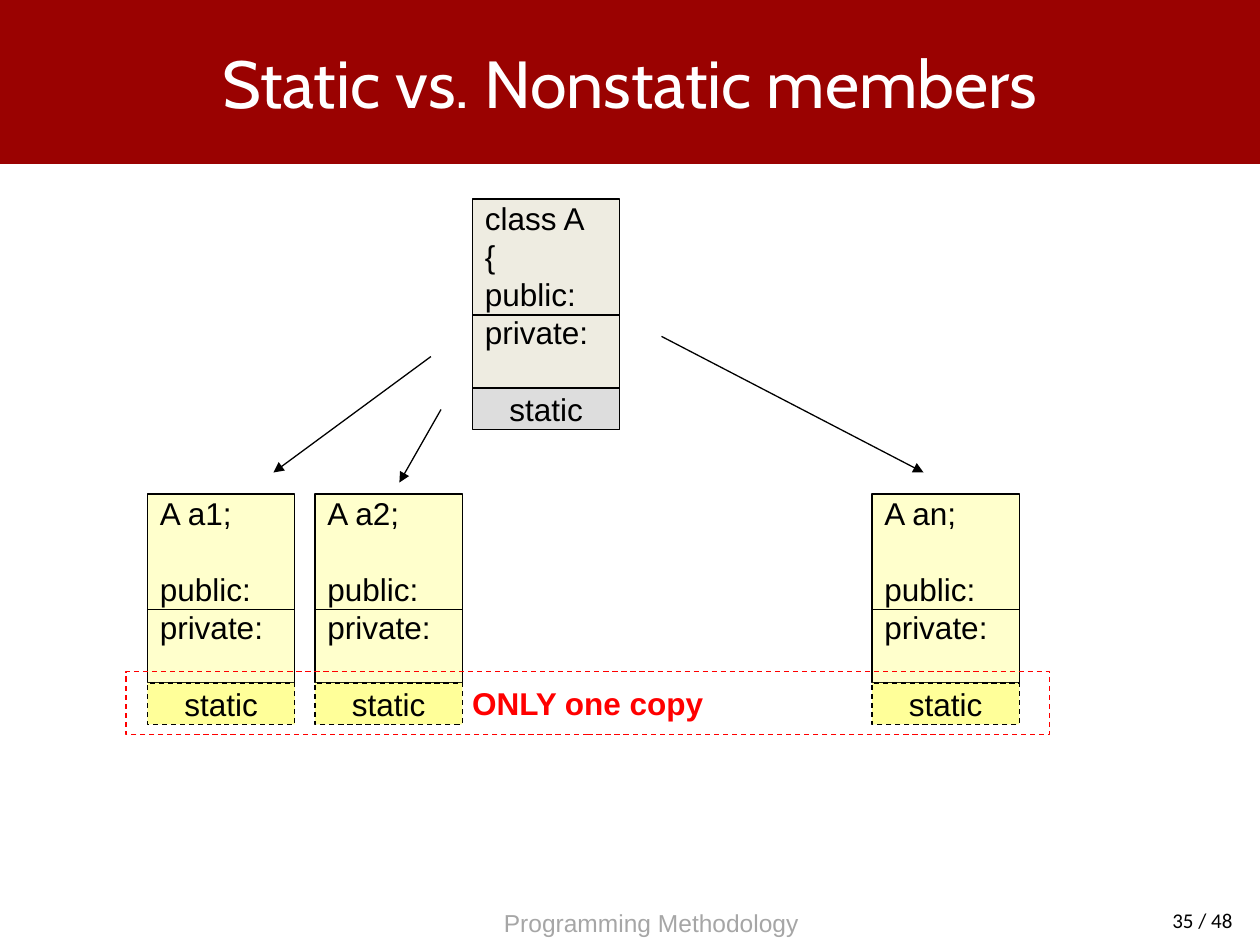
from lxml.etree import SubElement
from pptx import Presentation
from pptx.dml.color import RGBColor
from pptx.enum.dml import MSO_LINE
from pptx.enum.shapes import MSO_CONNECTOR, MSO_SHAPE
from pptx.enum.text import MSO_ANCHOR, PP_ALIGN
from pptx.oxml.ns import qn
from pptx.util import Inches, Pt

BOX_WIDTH, MEMBERS_HEIGHT, STATIC_HEIGHT = 1.17, 1.5, 0.33
DIVIDER_OFFSET = 0.92
LINE_PITCH = 21.7
OBJECT_TOP = 3.92
OBJECTS = {"a1": 1.17, "a2": 2.5, "an": 6.92}
ARROWS = [
    ((3.42, 2.83), (2.17, 3.75)),
    ((3.5, 3.25), (3.17, 3.83)),
    ((5.25, 2.67), (7.33, 3.75)),
]


def color(value):
    return RGBColor.from_string(value)


class SlideBuilder:
    font = {"name": "Arial", "size": Pt(18)}
    ink = "000000"

    def __init__(self, page):
        self.page = page

    def fill_text(self, frame, lines, ink=None, align=PP_ALIGN.CENTER,
                  anchor=MSO_ANCHOR.MIDDLE, spacing=None, **font):
        frame.word_wrap = True
        frame.vertical_anchor = anchor
        for index, line in enumerate(lines):
            para = frame.paragraphs[0] if index == 0 else frame.add_paragraph()
            para.alignment = align
            para.line_spacing = spacing
            span = para.add_run()
            span.text = line
            for key, value in {**self.font, **font}.items():
                setattr(span.font, key, value)
            span.font.color.rgb = color(ink or self.ink)

    def title(self, text):
        box = self.page.shapes.title
        place = {"left": 0, "top": 0, "width": Inches(10), "height": Inches(1.3)}
        for key, value in place.items():
            setattr(box, key, value)
        box.fill.solid()
        box.fill.fore_color.rgb = color("9A0201")
        self.fill_text(box.text_frame, [text], "FFFFFF", name="Cabin", size=Pt(38))

    def label(self, place, text, ink=None, **style):
        box = self.page.shapes.add_textbox(*map(Inches, place))
        self.fill_text(box.text_frame, [text], ink, **style)

    def box(self, place, fill=None, line=None, dashed=False):
        box = self.page.shapes.add_shape(MSO_SHAPE.RECTANGLE, *map(Inches, place))
        box.shadow.inherit = False
        if fill:
            box.fill.solid()
            box.fill.fore_color.rgb = color(fill)
        else:
            box.fill.background()
        box.line.color.rgb = color(line or self.ink)
        box.line.width = Pt(0.75)
        if dashed:
            box.line.dash_style = MSO_LINE.DASH
        return box

    def line(self, start, end, arrow=False):
        line = self.page.shapes.add_connector(
            MSO_CONNECTOR.STRAIGHT, *map(Inches, (*start, *end)))
        line.line.color.rgb = color(self.ink)
        line.line.width = Pt(0.75)
        properties = line._element.spPr
        if arrow:
            SubElement(properties.find(qn("a:ln")), qn("a:tailEnd"), type="triangle")
        SubElement(properties, qn("a:effectLst"))

    def class_box(self, left, top, lines, fill, static_fill, dashed=False):
        """Members with a public/private divider, above a static part."""
        members = self.box((left, top, BOX_WIDTH, MEMBERS_HEIGHT), fill)
        frame = members.text_frame
        frame.margin_top = frame.margin_bottom = 0
        self.fill_text(frame, lines, align=PP_ALIGN.LEFT, anchor=MSO_ANCHOR.TOP,
                       spacing=Pt(LINE_PITCH))
        # "private:" always starts just below the divider, on the fourth line
        missing_lines = 4 - len(lines)
        frame.paragraphs[1].space_before = Pt(LINE_PITCH * missing_lines)
        divider = top + DIVIDER_OFFSET
        self.line((left, divider), (left + BOX_WIDTH, divider))
        static = self.box((left, top + MEMBERS_HEIGHT, BOX_WIDTH, STATIC_HEIGHT),
                          static_fill, dashed=dashed)
        self.fill_text(static.text_frame, ["static"])


def main():
    deck = Presentation()
    deck.slide_width, deck.slide_height = Inches(10), Inches(7.5)
    builder = SlideBuilder(deck.slides.add_slide(deck.slide_layouts[5]))

    builder.label((3.58, 7.16, 3.18, 0.34), "Programming Methodology", "A6A6A6",
                  anchor=MSO_ANCHOR.TOP, size=Pt(14))
    builder.title("Static vs. Nonstatic members")
    builder.class_box(3.75, 1.58, ["class A", "{", "public:", "private:"],
                      "EEECE1", "DDDDDD")
    for name, left in OBJECTS.items():
        builder.class_box(left, OBJECT_TOP, [f"A {name};", "public:", "private:"],
                          "FFFFCC", "FFFF99", dashed=True)
    shared = builder.box((1, 5.33, 7.33, 0.5), line="FF0000", dashed=True)
    builder.fill_text(shared.text_frame, ["ONLY one copy"], "FF0000", bold=True)
    for start, end in ARROWS:
        builder.line(start, end, arrow=True)
    builder.label((7.63, 7.1, 2.25, 0.4), "35 / 48", align=PP_ALIGN.RIGHT,
                  name="Calibri", size=Pt(12))
    deck.save("out.pptx")


if __name__ == "__main__":
    main()
